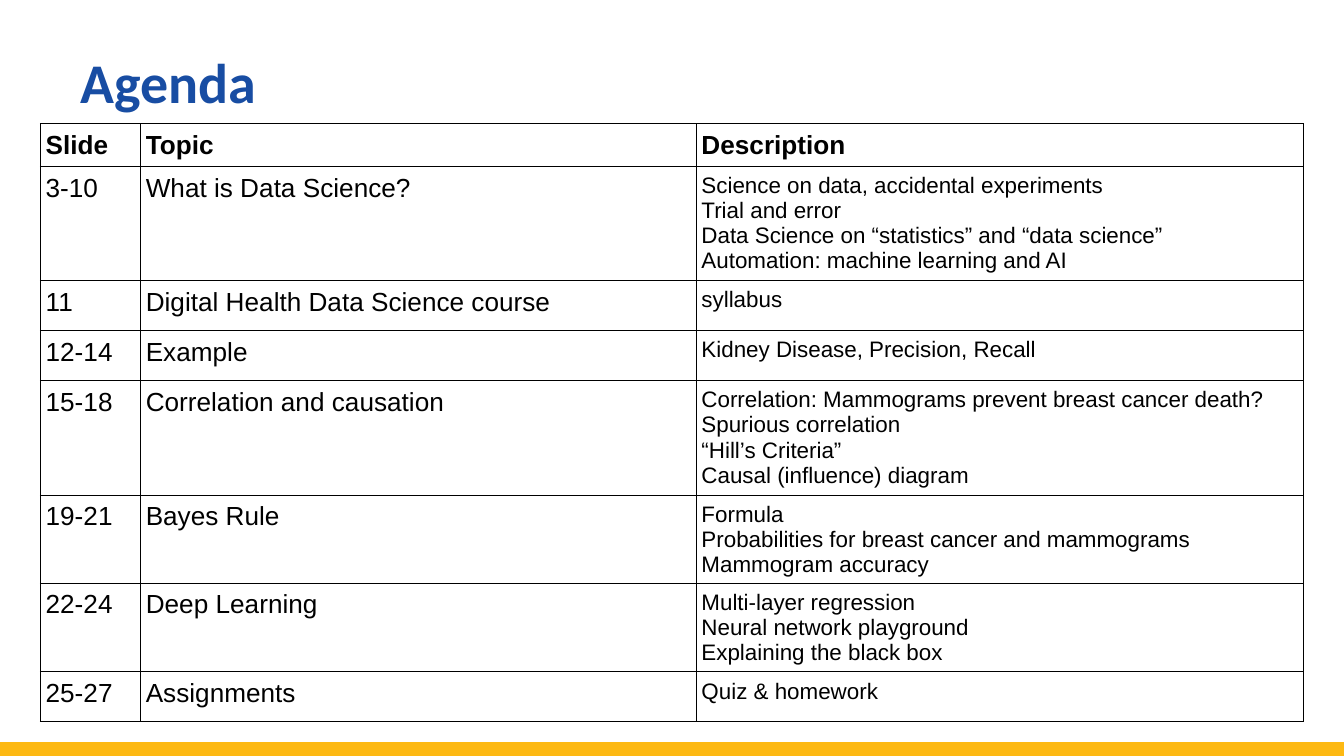
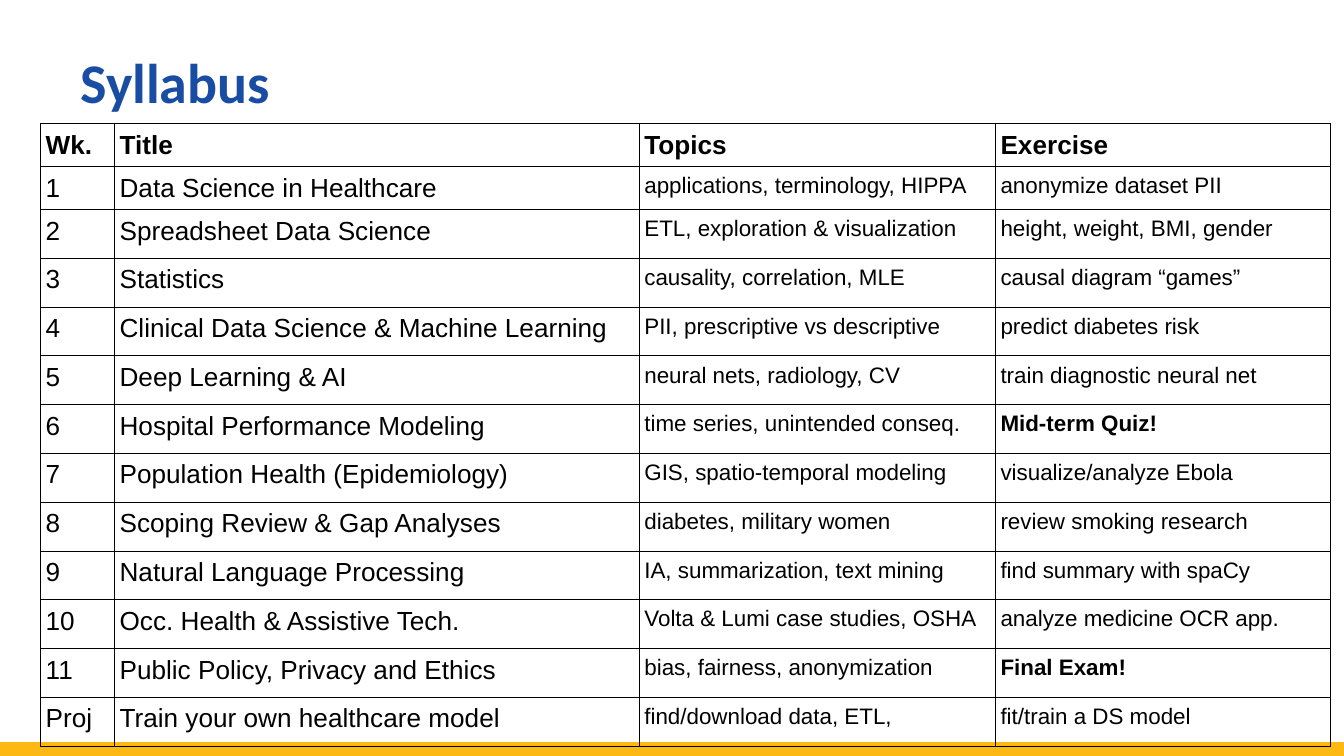
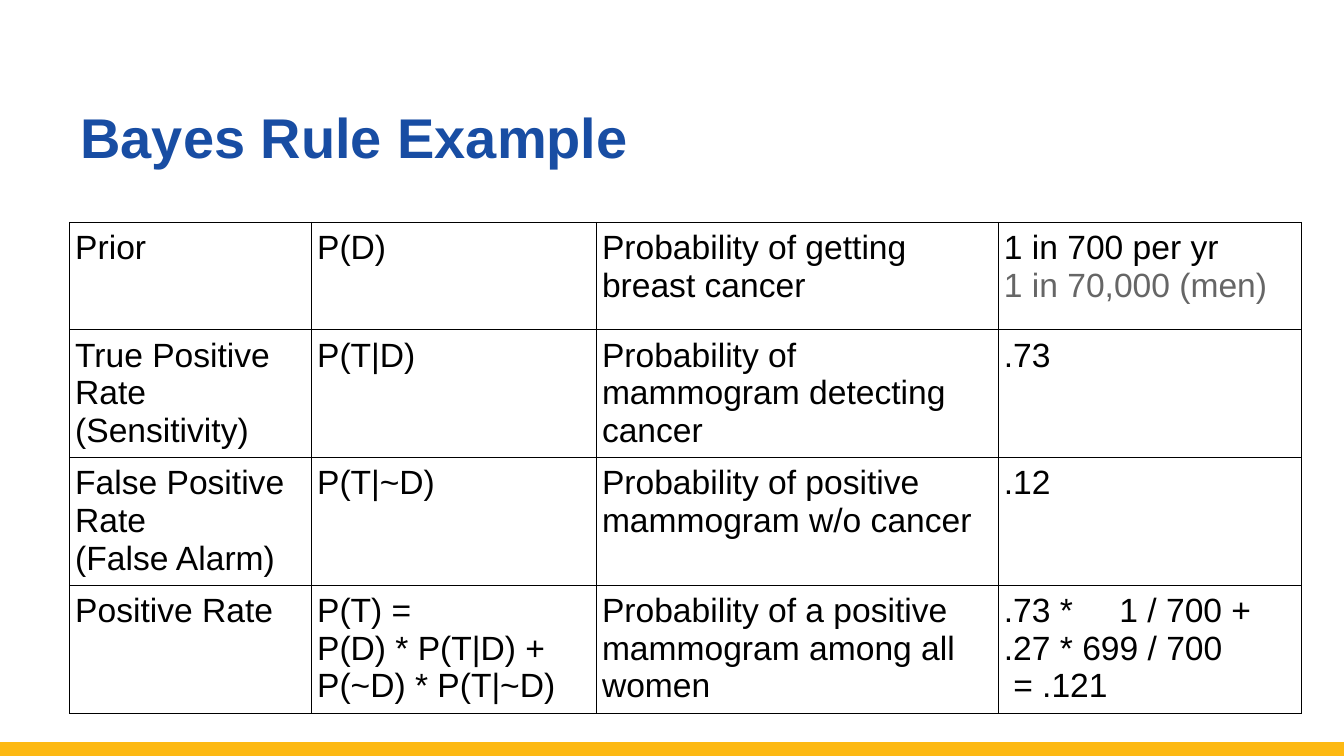
import dataclasses

import lxml.etree
import pptx
import pptx.dml.color
import pptx.enum.shapes
import pptx.enum.text
import pptx.oxml.ns
import pptx.util


@dataclasses.dataclass(frozen=True)
class Theme:
    """Colours, fonts and type sizes shared by the slides."""
    title_blue: str = "184DA3"
    band_gold: str = "FDB913"
    ink: str = "000000"
    muted: str = "666666"
    body_font: str = "Arial"
    heading_font: str = "Calibri"
    title_size: int = 30
    title_leading: int = 58
    large: int = 18
    medium: int = 14
    small: int = 12
    band_width: int = 8
    border_width: float = 0.57


@dataclasses.dataclass(frozen=True)
class Box:
    """A region in grid columns and rows."""
    left: float
    top: float
    width: float
    height: float


@dataclasses.dataclass(frozen=True)
class Line:
    """One paragraph of a cell, with its exceptions from the cell style."""
    text: str
    bold: bool = False
    muted: bool = False
    indent: float = 0
    tab: float = 0


THEME = Theme()
GRID_COLUMNS, GRID_ROWS = 100, 56.25
SLIDE_WIDTH = pptx.util.Inches(10)
UNIT = SLIDE_WIDTH / GRID_COLUMNS
TITLE_BOX = Box(5, 0, 90, 13.1)
BAND_ROW = 55.8
CELL_SIDE, CELL_TOP, CELL_BOTTOM = 0.4, 0.5, 0

AGENDA = [
    ("Slide", "Topic", "Description"),
    ("3-10", "What is Data Science?",
     "Science on data, accidental experiments\nTrial and error\n"
     "Data Science on “statistics” and “data science”\nAutomation: machine learning and AI"),
    ("11", "Digital Health Data Science course", "syllabus"),
    ("12-14", "Example", "Kidney Disease, Precision, Recall"),
    ("15-18", "Correlation and causation",
     "Correlation: Mammograms prevent breast cancer death?\nSpurious correlation\n"
     "“Hill’s Criteria”\nCausal (influence) diagram"),
    ("19-21", "Bayes Rule",
     "Formula\nProbabilities for breast cancer and mammograms\nMammogram accuracy"),
    ("22-24", "Deep Learning",
     "Multi-layer regression\nNeural network playground\nExplaining the black box"),
    ("25-27", "Assignments", "Quiz & homework"),
]

SYLLABUS = [
    ("Wk.", "Title", "Topics", "Exercise"),
    ("1", "Data Science in Healthcare", "applications, terminology, HIPPA", "anonymize dataset PII"),
    ("2", "Spreadsheet Data Science", "ETL, exploration & visualization",
     "height, weight, BMI, gender"),
    ("3", "Statistics", "causality, correlation, MLE", "causal diagram “games”"),
    ("4", "Clinical Data Science & Machine Learning", "PII, prescriptive vs descriptive",
     "predict diabetes risk"),
    ("5", "Deep Learning & AI", "neural nets, radiology, CV", "train diagnostic neural net"),
    ("6", "Hospital Performance Modeling", "time series, unintended conseq.",
     [Line("Mid-term Quiz!", bold=True)]),
    ("7", "Population Health (Epidemiology)", "GIS, spatio-temporal modeling",
     "visualize/analyze Ebola"),
    ("8", "Scoping Review & Gap Analyses", "diabetes, military women", "review smoking research"),
    ("9", "Natural Language Processing", "IA, summarization, text mining",
     "find summary with spaCy"),
    ("10", "Occ. Health & Assistive Tech.", "Volta & Lumi case studies, OSHA",
     "analyze medicine OCR app."),
    ("11", "Public Policy, Privacy and Ethics", "bias, fairness, anonymization",
     [Line("Final Exam!", bold=True)]),
    ("Proj", "Train your own healthcare model", "find/download data, ETL,", "fit/train a DS model"),
]

BAYES = [
    ("Prior", "P(D)", "Probability of getting breast cancer",
     [Line("1 in 700 per yr"), Line("1 in 70,000 (men)", muted=True)]),
    ("True Positive Rate\n(Sensitivity)", "P(T|D)",
     "Probability of mammogram detecting cancer", ".73"),
    ("False Positive Rate\n(False Alarm)", "P(T|~D)",
     "Probability of positive mammogram w/o cancer", ".12"),
    ("Positive Rate", "P(T) =\nP(D) * P(T|D) + P(~D) * P(T|~D)",
     "Probability of a positive mammogram among all women",
     [Line(".73 *\t1 / 700 +", tab=8.6), Line(".27 * 699 / 700"), Line("= .121", indent=0.7)]),
]


def grid(count):
    """Turn a number of grid steps into a length."""
    return pptx.util.Emu(round(count * UNIT))


def place(box):
    """Return left, top, width and height of a box as lengths."""
    return [grid(value) for value in dataclasses.astuple(box)]


def add_run(paragraph, text, size, color, font, bold):
    """Append one styled run to a paragraph."""
    run = paragraph.add_run()
    run.text = text
    run.font.size = pptx.util.Pt(size)
    run.font.name = font
    run.font.bold = bold
    run.font.color.rgb = pptx.dml.color.RGBColor.from_string(color)


def add_band(slide):
    """Draw the gold band along the foot of a slide."""
    band = slide.shapes.add_connector(
        pptx.enum.shapes.MSO_CONNECTOR.STRAIGHT,
        0, grid(BAND_ROW), SLIDE_WIDTH, grid(BAND_ROW))
    band.line.color.rgb = pptx.dml.color.RGBColor.from_string(THEME.band_gold)
    band.line.width = pptx.util.Pt(THEME.band_width)
    lxml.etree.SubElement(band._element.spPr, pptx.oxml.ns.qn("a:effectLst"))


def add_title(slide, box, text, font, anchor):
    """Write the slide title in its box."""
    shape = slide.shapes.add_textbox(*place(box))
    frame = shape.text_frame
    frame.word_wrap = True
    frame.vertical_anchor = anchor
    paragraph = frame.paragraphs[0]
    paragraph.line_spacing = pptx.util.Pt(THEME.title_leading)
    add_run(paragraph, text, THEME.title_size, THEME.title_blue, font, True)


def add_borders(cell):
    """Draw a thin line on all four sides of a cell."""
    properties = cell._tc.get_or_add_tcPr()
    for side in ("lnL", "lnR", "lnT", "lnB"):
        border = lxml.etree.SubElement(
            properties, pptx.oxml.ns.qn(f"a:{side}"),
            w=str(pptx.util.Pt(THEME.border_width)))
        fill = lxml.etree.SubElement(border, pptx.oxml.ns.qn("a:solidFill"))
        lxml.etree.SubElement(fill, pptx.oxml.ns.qn("a:srgbClr"), val=THEME.ink)


def set_stops(paragraph, line):
    """Apply the indent and tab stop of a line."""
    properties = paragraph._p.get_or_add_pPr()
    if line.indent:
        properties.set("marL", str(grid(line.indent)))
        properties.set("indent", "0")
    if line.tab:
        stops = lxml.etree.SubElement(properties, pptx.oxml.ns.qn("a:tabLst"))
        lxml.etree.SubElement(
            stops, pptx.oxml.ns.qn("a:tab"), pos=str(grid(line.tab)), algn="l")


def fill_cell(cell, content, size, bold):
    """Format a cell and write its lines."""
    add_borders(cell)
    cell.fill.background()
    cell.margin_left = cell.margin_right = grid(CELL_SIDE)
    cell.margin_top = grid(CELL_TOP)
    cell.margin_bottom = grid(CELL_BOTTOM)
    lines = [Line(text) for text in content.split("\n")] if isinstance(content, str) else content
    for index, line in enumerate(lines):
        frame = cell.text_frame
        paragraph = frame.add_paragraph() if index else frame.paragraphs[0]
        set_stops(paragraph, line)
        color = THEME.muted if line.muted else THEME.ink
        add_run(paragraph, line.text, size, color, THEME.body_font, bold or line.bold)


def add_grid_table(slide, box, rows, widths, heights, sizes, header):
    """Build a bordered table with one body type size per column."""
    table = slide.shapes.add_table(len(rows), len(widths), *place(box)).table
    table.first_row = header
    table.horz_banding = False
    for column, width in zip(table.columns, widths):
        column.width = grid(width)
    for row, height in zip(table.rows, heights):
        row.height = grid(height)
    for row_index, contents in enumerate(rows):
        is_header = header and row_index == 0
        for column_index, content in enumerate(contents):
            size = THEME.medium if is_header else sizes[column_index]
            fill_cell(table.cell(row_index, column_index), content, size, is_header)


def add_table_slide(presentation, title, font, anchor, box, rows, widths, heights, sizes, header):
    """Add a slide with the band, a title and one table."""
    slide = presentation.slides.add_slide(presentation.slide_layouts[6])
    add_band(slide)
    add_title(slide, TITLE_BOX, title, font, anchor)
    add_grid_table(slide, box, rows, widths, heights, sizes, header)


def main():
    """Build the three slides and save them."""
    presentation = pptx.Presentation()
    presentation.slide_width = SLIDE_WIDTH
    presentation.slide_height = grid(GRID_ROWS)
    anchors = pptx.enum.text.MSO_ANCHOR
    medium, small, large = THEME.medium, THEME.small, THEME.large
    add_table_slide(
        presentation, "Agenda", THEME.heading_font, anchors.TOP, Box(3, 9.2, 94, 44.5), AGENDA,
        (7.45, 41.35, 45.2), (3.2, 8.48, 3.72, 3.72, 8.48, 6.58, 6.58, 3.72),
        (medium, medium, small), True)
    add_table_slide(
        presentation, "Syllabus", THEME.heading_font, anchors.TOP, Box(3, 9.2, 96, 46.3), SYLLABUS,
        (5.5, 39.05, 26.5, 24.95), (3.2, 3.2, *[3.63] * 11),
        (medium, medium, small, small), True)
    add_table_slide(
        presentation, "Bayes Rule Example", THEME.body_font, anchors.BOTTOM,
        Box(5.2, 16.55, 91.6, 36.2), BAYES,
        (18, 21.2, 29.9, 22.55), (8, *[9.4] * 3), [large] * 4, False)
    presentation.save("out.pptx")


if __name__ == "__main__":
    main()
